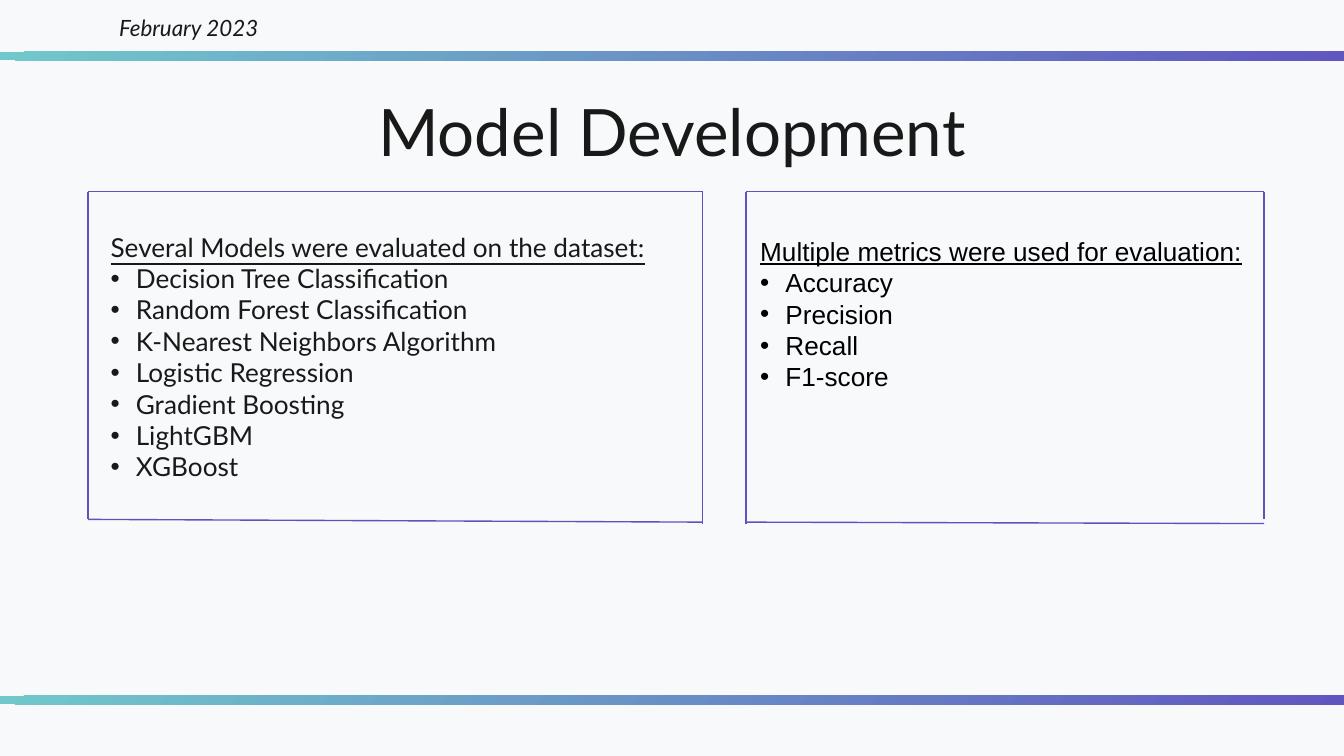
import pptx
import pptx.dml.color
import pptx.enum.shapes
import pptx.enum.text
import pptx.oxml.ns
import pptx.util
from lxml import etree

PX = 9525
BACKGROUND = pptx.dml.color.RGBColor(0xF7, 0xF9, 0xFA)
TEAL = pptx.dml.color.RGBColor(0x71, 0xC8, 0xCB)
VIOLET = pptx.dml.color.RGBColor(0x61, 0x56, 0xC0)
OUTLINE = pptx.dml.color.RGBColor(0x5D, 0x52, 0xBE)
INK = pptx.dml.color.RGBColor(0x19, 0x19, 0x19)
BLACK = pptx.dml.color.RGBColor(0, 0, 0)

MODELS = [
    "Decision Tree Classification",
    "Random Forest Classification",
    "K-Nearest Neighbors Algorithm",
    "Logistic Regression",
    "Gradient Boosting",
    "LightGBM",
    "XGBoost",
]
METRICS = ["Accuracy", "Precision", "Recall", "F1-score"]


def px(*lengths):
    """Turn pixel lengths into EMU."""
    return [pptx.util.Emu(length * PX) for length in lengths]


def place(holder, box, inset_x=10, inset_y=10):
    """Move a text holder to its box and return its cleared frame."""
    holder.left, holder.top, holder.width, holder.height = px(*box)
    frame = holder.text_frame
    frame.clear()
    frame.word_wrap = True
    frame.auto_size = pptx.enum.text.MSO_AUTO_SIZE.NONE
    frame.vertical_anchor = pptx.enum.text.MSO_ANCHOR.TOP
    frame.margin_left, frame.margin_right = px(inset_x, inset_x)
    frame.margin_top, frame.margin_bottom = px(inset_y, inset_y)
    return frame


def write(frame, text, size=14, font="Lato", color=INK, italic=False, underline=False,
          align=pptx.enum.text.PP_ALIGN.LEFT, indent=0, hanging=0, bullet=False):
    """Add one formatted paragraph to a frame."""
    paragraph = frame.paragraphs[0] if not frame.text else frame.add_paragraph()
    paragraph.alignment = align
    paragraph.line_spacing = pptx.util.Pt(size * 1.2)
    paragraph.space_before = paragraph.space_after = pptx.util.Pt(0)
    properties = paragraph._p.get_or_add_pPr()
    properties.set("marL", str(indent * PX))
    properties.set("indent", str(-hanging * PX))
    qn = pptx.oxml.ns.qn
    if bullet:
        tint = etree.SubElement(properties, qn("a:buClr"))
        etree.SubElement(tint, qn("a:srgbClr"), val=str(color))
        etree.SubElement(properties, qn("a:buFont"), typeface="Arial")
        etree.SubElement(properties, qn("a:buChar"), char="•")
    else:
        etree.SubElement(properties, qn("a:buNone"))
    run = paragraph.add_run()
    run.text = text
    run.font.size = pptx.util.Pt(size)
    run.font.name = font
    run.font.color.rgb = color
    run.font.bold = False
    run.font.italic = italic
    run.font.underline = underline


def add_bar(slide, box):
    """Draw a gradient bar across the slide."""
    bar = slide.shapes.add_shape(
        pptx.enum.shapes.MSO_SHAPE.ROUNDED_RECTANGLE, *px(*box))
    bar.adjustments[0] = 0
    bar.shadow.inherit = False
    bar.line.fill.background()
    bar.fill.gradient()
    bar.fill.gradient_angle = 315
    for stop, color, position in zip(bar.fill.gradient_stops, (TEAL, VIOLET), (0, 1)):
        stop.color.rgb = color
        stop.position = position


def add_list(holder, box, heading, items, inset_y=10, **style):
    """Fill a holder with an underlined heading and its bullets."""
    frame = place(holder, box, inset_y=inset_y)
    write(frame, heading, underline=True, indent=16, **style)
    for item in items:
        write(frame, item, indent=34, hanging=18, bullet=True, **style)


def add_outline(slide, box, left_height, right_height, bottom_start, bottom_end):
    """Draw four separate edges around a panel."""
    left, top, width = box
    edges = [
        (0, 0, width, 0),
        (0, left_height, 0, 0),
        (0, bottom_start, width, bottom_end),
        (width, 0, width, right_height),
    ]
    for x1, y1, x2, y2 in edges:
        edge = slide.shapes.add_connector(
            pptx.enum.shapes.MSO_CONNECTOR.STRAIGHT,
            *px(left + x1, top + y1, left + x2, top + y2))
        edge.line.color.rgb = OUTLINE
        edge.line.width = pptx.util.Pt(0.75)
        etree.SubElement(edge._element.spPr, pptx.oxml.ns.qn("a:effectLst"))


def add_header(slide, box):
    """Write the date and the slide title."""
    left, top, width = box
    date = slide.shapes.add_textbox(0, 0, 0, 0)
    write(place(date, (left, top, width, 30)), "February 2023", size=12, italic=True)
    title = place(slide.shapes.title, (left, top + 55, width, 60))
    write(title, "Model Development", size=35, align=pptx.enum.text.PP_ALIGN.CENTER)


def main():
    """Build the slide and save it."""
    deck = pptx.Presentation()
    deck.slide_width, deck.slide_height = px(960, 540)
    slide = deck.slides.add_slide(deck.slide_layouts[1])
    slide.background.fill.solid()
    slide.background.fill.fore_color.rgb = BACKGROUND
    for top in (37, 497):
        add_bar(slide, (0, top, 960, 6))
    add_header(slide, (75, 0, 810))
    add_list(slide.placeholders[1], (53, 155, 465, 271),
             "Several Models were evaluated on the dataset:", MODELS)
    add_list(slide.shapes.add_textbox(0, 0, 0, 0), (517, 163, 397, 145),
             "Multiple metrics were used for evaluation:", METRICS,
             inset_y=5, font="Arial", color=BLACK)
    add_outline(slide, (63, 137, 439), 234, 237, 234, 236)
    add_outline(slide, (533, 137, 370), 237, 234, 236, 237)
    deck.save("out.pptx")


if __name__ == "__main__":
    main()
